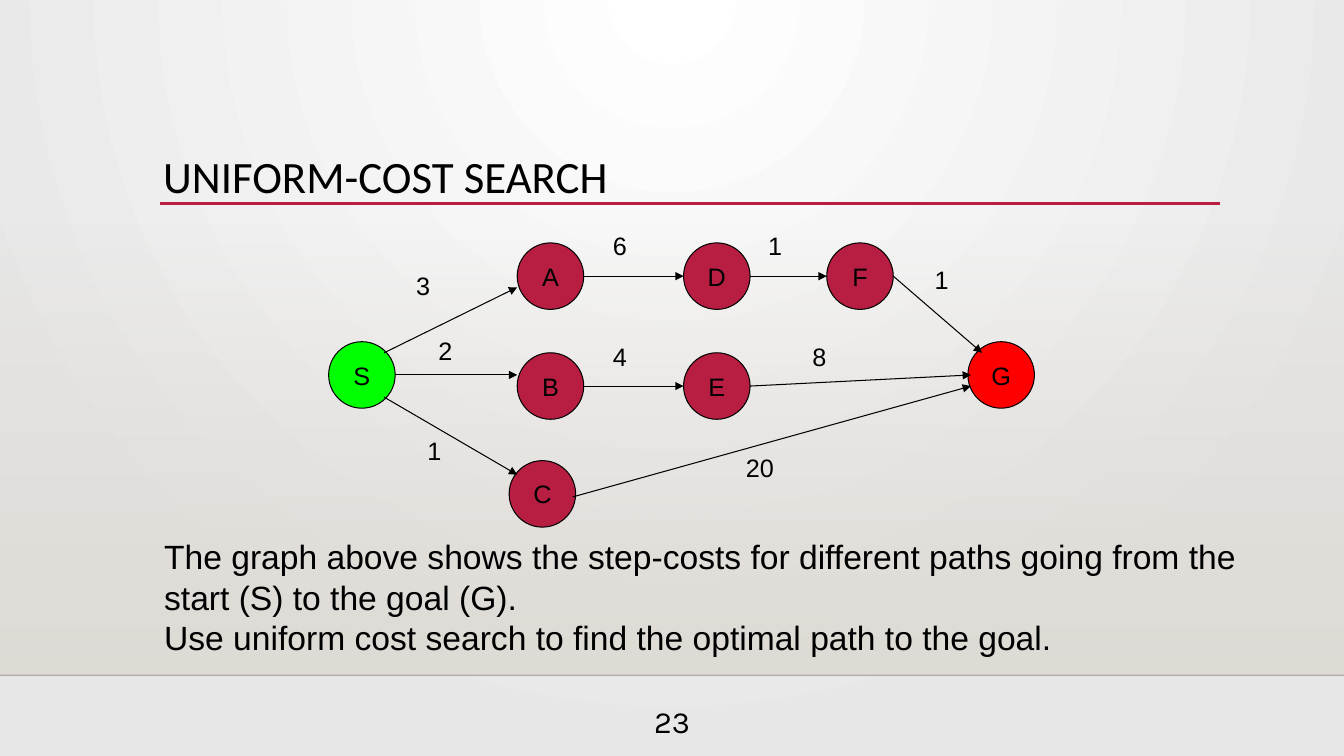
import pptx
import pptx.dml.color
import pptx.enum.shapes
import pptx.enum.text
import pptx.oxml
import pptx.oxml.ns
import pptx.util
from pptx.util import Inches

COLORS = {"black": "000000", "white": "FFFFFF", "gray": "E7E7E7", "sand": "DFDBD5",
          "crimson": "B71E42", "start": "00FF00", "goal": "FF0000"}
RGB = {name: pptx.dml.color.RGBColor.from_string(value) for name, value in COLORS.items()}
ALIGN = pptx.enum.text.PP_ALIGN
ANCHOR = pptx.enum.text.MSO_ANCHOR
qn = pptx.oxml.ns.qn
NS = pptx.oxml.ns.nsdecls("a")


def write(sp, lines, size, font="Arial", align=ALIGN.LEFT, anchor=ANCHOR.TOP, wrap=True):
    tf = sp.text_frame
    tf.word_wrap = wrap
    tf.vertical_anchor = anchor
    tf.text = "\n".join(lines)
    for p in tf.paragraphs:
        p.alignment = align
        p.font.size = pptx.util.Pt(size)
        p.font.name = font
        p.font.color.rgb = RGB["black"]


def add_line(x1, y1, x2, y2, color="black", width=0.75):
    line = s.shapes.add_connector(pptx.enum.shapes.MSO_CONNECTOR.STRAIGHT,
                                  Inches(x1), Inches(y1), Inches(x2), Inches(y2))
    line.line.color.rgb = RGB[color]
    line.line.width = pptx.util.Pt(width)
    line._element.spPr.append(pptx.oxml.parse_xml(f"<a:effectLst {NS}/>"))
    return line


prs = pptx.Presentation()
prs.slide_width, prs.slide_height = Inches(13.33), Inches(7.5)
s = prs.slides.add_slide(prs.slide_layouts[6])

# Radial background
fill = s.background.fill
fill.gradient()
for stop, color in zip(fill.gradient_stops, ("white", "gray")):
    stop.color.rgb = RGB[color]
lin = next(s._element.iter(qn("a:lin")))
lin.getparent().replace(lin, pptx.oxml.parse_xml(
    f'<a:path {NS} path="circle">'
    '<a:fillToRect l="43000" t="0" r="43000" b="100000"/></a:path>'))

# Sand band that fades in downwards
band = s.shapes.add_shape(pptx.enum.shapes.MSO_SHAPE.RECTANGLE,
                          0, Inches(2.21), Inches(13.33), Inches(4.49))
band.shadow.inherit = False
band.line.fill.background()
band.fill.gradient()
band.fill.gradient_angle = 270
for stop in band.fill.gradient_stops:
    stop.color.rgb = RGB["sand"]
clear = next(band._element.spPr.iter(qn("a:srgbClr")))
clear.append(pptx.oxml.parse_xml(f'<a:alpha {NS} val="0"/>'))

footer_rule = add_line(0, 6.7, 13.33, 6.7, width=1)
faint = next(footer_rule._element.spPr.iter(qn("a:srgbClr")))
faint.append(pptx.oxml.parse_xml(f'<a:alpha {NS} val="20000"/>'))
add_line(1.59, 2.02, 12.1, 2.02, "crimson", 2.5)

# Page number, title and task
number = s.shapes.add_textbox(Inches(6.22), Inches(6.88), Inches(0.89), Inches(0.55))
write(number, ["23"], 22, "Karla", ALIGN.CENTER, ANCHOR.MIDDLE)
title = s.shapes.add_textbox(Inches(1.52), Inches(1.47), Inches(10.5), Inches(0.61))
write(title, ["UNIFORM-COST SEARCH"], 32, "Calibri", anchor=ANCHOR.MIDDLE)
title.text_frame.paragraphs[0].line_spacing = 0.9
task = s.shapes.add_textbox(Inches(1.53), Inches(5.27), Inches(11.16), Inches(1.72))
write(task, ["The graph above shows the step-costs for different paths going from the "
             "start (S) to the goal (G).",
             "Use uniform cost search to find the optimal path to the goal."], 24)

# Graph nodes: name, left, top, colour
NODE_SIZE = 0.66
nodes = [("S", 3.26, 3.39, "start"), ("B", 5.13, 3.5, "crimson"), ("A", 5.13, 2.41, "crimson"),
         ("D", 6.78, 2.41, "crimson"), ("E", 6.78, 3.5, "crimson"), ("C", 5.05, 4.57, "crimson"),
         ("F", 8.2, 2.41, "crimson"), ("G", 9.6, 3.39, "goal")]
for name, x, y, color in nodes:
    sp = s.shapes.add_shape(pptx.enum.shapes.MSO_SHAPE.OVAL, Inches(x), Inches(y),
                            Inches(NODE_SIZE), Inches(NODE_SIZE))
    sp.shadow.inherit = False
    sp.fill.solid()
    sp.fill.fore_color.rgb = RGB[color]
    sp.line.color.rgb = RGB["black"]
    sp.line.width = pptx.util.Pt(0.75)
    write(sp, [name], 18, align=ALIGN.CENTER, anchor=ANCHOR.MIDDLE, wrap=False)

# Graph edges: start point, end point, cost, left and top of the cost label
edges = [(3.81, 3.5, 5.13, 2.85, "3", 4.03, 2.63),
         (3.92, 3.72, 5.13, 3.72, "2", 4.25, 3.28),
         (3.81, 3.94, 5.13, 4.71, "1", 4.14, 4.27),
         (5.79, 2.74, 6.78, 2.74, "6", 5.98, 2.24),
         (5.79, 3.83, 6.78, 3.83, "4", 5.98, 3.34),
         (5.68, 4.93, 9.63, 3.83, "20", 7.3, 4.44),
         (7.44, 3.83, 9.63, 3.72, "8", 7.96, 3.34),
         (7.44, 2.74, 8.2, 2.74, "1", 7.52, 2.24),
         (8.86, 2.74, 9.74, 3.5, "1", 9.17, 2.57)]
for x1, y1, x2, y2, cost, x, y in edges:
    arrow = add_line(x1, y1, x2, y2)
    arrow.line._get_or_add_ln().append(pptx.oxml.parse_xml(f'<a:tailEnd {NS} type="triangle"/>'))
    width = 0.27 + 0.18 * len(cost)
    label = s.shapes.add_textbox(Inches(x), Inches(y), Inches(width), Inches(0.53))
    write(label, [cost], 18)

prs.save("out.pptx")
